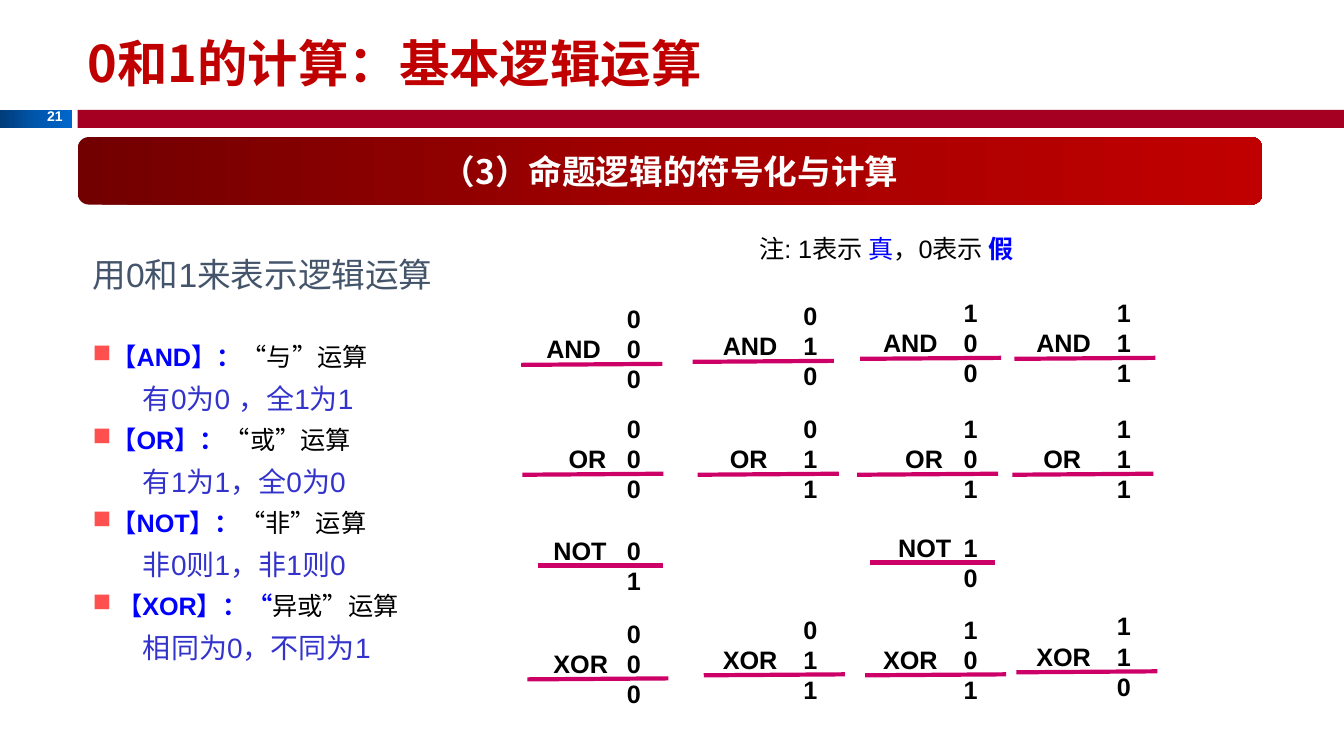
from copy import deepcopy

from lxml import etree
from pptx import Presentation
from pptx.dml.color import RGBColor
from pptx.enum.shapes import MSO_CONNECTOR, MSO_SHAPE
from pptx.enum.text import MSO_ANCHOR, PP_ALIGN
from pptx.oxml.ns import qn
from pptx.util import Inches, Pt

RECTANGLE, ROUNDED = MSO_SHAPE.RECTANGLE, MSO_SHAPE.ROUNDED_RECTANGLE
STRAIGHT = MSO_CONNECTOR.STRAIGHT
TOP, MIDDLE = MSO_ANCHOR.TOP, MSO_ANCHOR.MIDDLE
CENTER, RIGHT = PP_ALIGN.CENTER, PP_ALIGN.RIGHT

WHITE = RGBColor(0xFF, 0xFF, 0xFF)
BLACK = RGBColor(0x00, 0x00, 0x00)
RED = RGBColor(0xC0, 0x00, 0x00)
CRIMSON = RGBColor(0xA5, 0x00, 0x21)
BLUE = RGBColor(0x00, 0x00, 0xFF)
INDIGO = RGBColor(0x33, 0x33, 0xCC)
SLATE = RGBColor(0x44, 0x54, 0x6A)
MAGENTA = RGBColor(0xCC, 0x00, 0x66)
NAVY_FADE = (RGBColor(0x00, 0x3C, 0x79), RGBColor(0x00, 0x56, 0xAC), RGBColor(0x00, 0x66, 0xCC))
RED_FADE = (RGBColor(0x72, 0x00, 0x00), RGBColor(0xA2, 0x00, 0x00), RED)
LATIN, CJK = "Arial", "Noto Sans CJK SC"

deck = Presentation()
deck.slide_width, deck.slide_height = Inches(13.33), Inches(7.5)
slide = deck.slides.add_slide(deck.slide_layouts[6])


def add_text_area(left, top, width, height, anchor=TOP):
    area = slide.shapes.add_textbox(*map(Inches, (left, top, width, height))).text_frame
    area.word_wrap = True
    area.vertical_anchor = anchor
    return area


def add_run(paragraph, text, size, color, bold=False, face=LATIN):
    run = paragraph.add_run()
    run.text = text
    run.font.size, run.font.bold, run.font.name = Pt(size), bold, face
    run.font.color.rgb = color
    etree.SubElement(run.font._element, qn("a:ea")).set("typeface", CJK)


bands = [
    (RECTANGLE, (0, 1.09, 0.71, 0.18), NAVY_FADE),
    (RECTANGLE, (0.77, 1.09, 12.56, 0.18), None),
    (ROUNDED, (0.77, 1.36, 11.75, 0.67), RED_FADE),
]
for outline, place, fade in bands:
    band = slide.shapes.add_shape(outline, *map(Inches, place))
    band.shadow.inherit = False
    band.line.fill.background()
    if fade is None:
        band.fill.solid()
        band.fill.fore_color.rgb = CRIMSON
        continue
    band.fill.gradient()
    band.fill.gradient_angle = 0
    stop_list = band._element.spPr.find(qn("a:gradFill")).find(qn("a:gsLst"))
    stop_list.insert(1, deepcopy(stop_list[0]))
    for share, (stop, color) in enumerate(zip(band.fill.gradient_stops, fade)):
        stop.position = share / 2
        stop.color.rgb = color

banner = band.text_frame
banner.vertical_anchor = MIDDLE
banner.paragraphs[0].alignment = CENTER
add_run(banner.paragraphs[0], "（3）命题逻辑的符号化与计算", 24, WHITE, True, CJK)

title = add_text_area(0.77, 0.2, 11.67, 0.83, MIDDLE)
add_run(title.paragraphs[0], "0和1的计算：基本逻辑运算", 36, RED, True, CJK)

page_number = add_text_area(0.25, 1.02, 0.47, 0.27)
page_number.paragraphs[0].alignment = RIGHT
add_run(page_number.paragraphs[0], "21", 10, WHITE, True)

note = add_text_area(7.43, 2.27, 2.78, 0.4).paragraphs[0]
add_run(note, "注: 1表示 ", 18, BLACK)
add_run(note, "真", 18, BLUE)
add_run(note, "，0表示 ", 18, BLACK)
add_run(note, "假", 18, BLUE, True)

definitions = [
    ("【AND】：", "“与”运算", "有0为0 ，全1为1"),
    ("【OR】：", "“或”运算", "有1为1，全0为0"),
    ("【NOT】：", "“非”运算", "非0则1，非1则0"),
    (" 【XOR】：“", "异或”运算", "相同为0，不同为1"),
]
rules = add_text_area(0.82, 2.35, 3.73, 4.48)
intro = rules.paragraphs[0]
intro.line_spacing = 1.3
add_run(intro, "用0和1来表示逻辑运算", 24, SLATE)
for index, (operator, meaning, rule) in enumerate(definitions):
    heading = rules.add_paragraph()
    heading.line_spacing = 1.3
    if index == 0:
        heading.space_before = Pt(27)
    properties = heading._p.get_or_add_pPr()
    bullet_color = etree.SubElement(properties, qn("a:buClr"))
    etree.SubElement(bullet_color, qn("a:srgbClr")).set("val", "FF5050")
    etree.SubElement(properties, qn("a:buChar")).set("char", "■")
    add_run(heading, operator, 18, BLUE, True)
    add_run(heading, meaning, 18, BLACK)
    detail = rules.add_paragraph()
    detail.level = 1
    detail.line_spacing = 1.3
    detail._p.get_or_add_pPr().set("marL", str(Inches(0.5)))
    add_run(detail, rule, 20, INDIGO)

column_lefts = (5.12, 6.87, 8.46, 9.98)
DIGIT_TAB = 1.0
LINE_STEP = 0.3
calculations = [
    ("AND", 1.4, [(0, "000", 2.96, 0.2, 5.17), (1, "010", 2.93, 0.2, 6.87),
                  (2, "100", 2.9, 0.2, 8.53), (3, "111", 2.9, 0.2, 10.06)]),
    ("OR", 1.4, [(0, "000", 4.05, 0.42, 5.18), (1, "011", 4.05, 0.27, 6.92),
                 (2, "101", 4.05, 0.42, 8.5), (3, "111", 4.05, 0.27, 10.04)]),
    ("NOT", 1.24, [(0, "01", 5.26, 0.27, 5.34), (2, "10", 5.23, 0.35, 8.63)]),
    ("XOR", 1.4, [(0, "000", 6.08, 0.27, 5.23), (1, "011", 6.04, 0.2, 6.98),
                  (2, "101", 6.04, 0.2, 8.58), (3, "110", 6.01, 0.2, 10.08)]),
]
for operator, rule_length, sums in calculations:
    for column, digits, top, operator_tab, rule_left in sums:
        operands = len(digits) - 1
        work = add_text_area(column_lefts[column], top, 1.35, 0.11 + LINE_STEP * len(digits))
        for row, digit in enumerate(digits):
            line = work.paragraphs[0] if row == 0 else work.add_paragraph()
            tabs = etree.SubElement(line._p.get_or_add_pPr(), qn("a:tabLst"))
            for position in (operator_tab, DIGIT_TAB):
                tab = etree.SubElement(tabs, qn("a:tab"))
                tab.set("pos", str(Inches(position)))
                tab.set("algn", "l")
            label = operator if row == operands - 1 else ""
            add_run(line, f"\t{label}\t{digit}", 18, BLACK, True)
        rule_top = top + 0.05 + LINE_STEP * operands
        slope = 0.01 if operands == 2 else 0
        rule_line = slide.shapes.add_connector(
            STRAIGHT, Inches(rule_left), Inches(rule_top + slope),
            Inches(rule_left + rule_length), Inches(rule_top))
        rule_line.line.color.rgb = MAGENTA
        rule_line.line.width = Pt(3)
        etree.SubElement(rule_line._element.spPr, qn("a:effectLst"))

deck.save("out.pptx")
